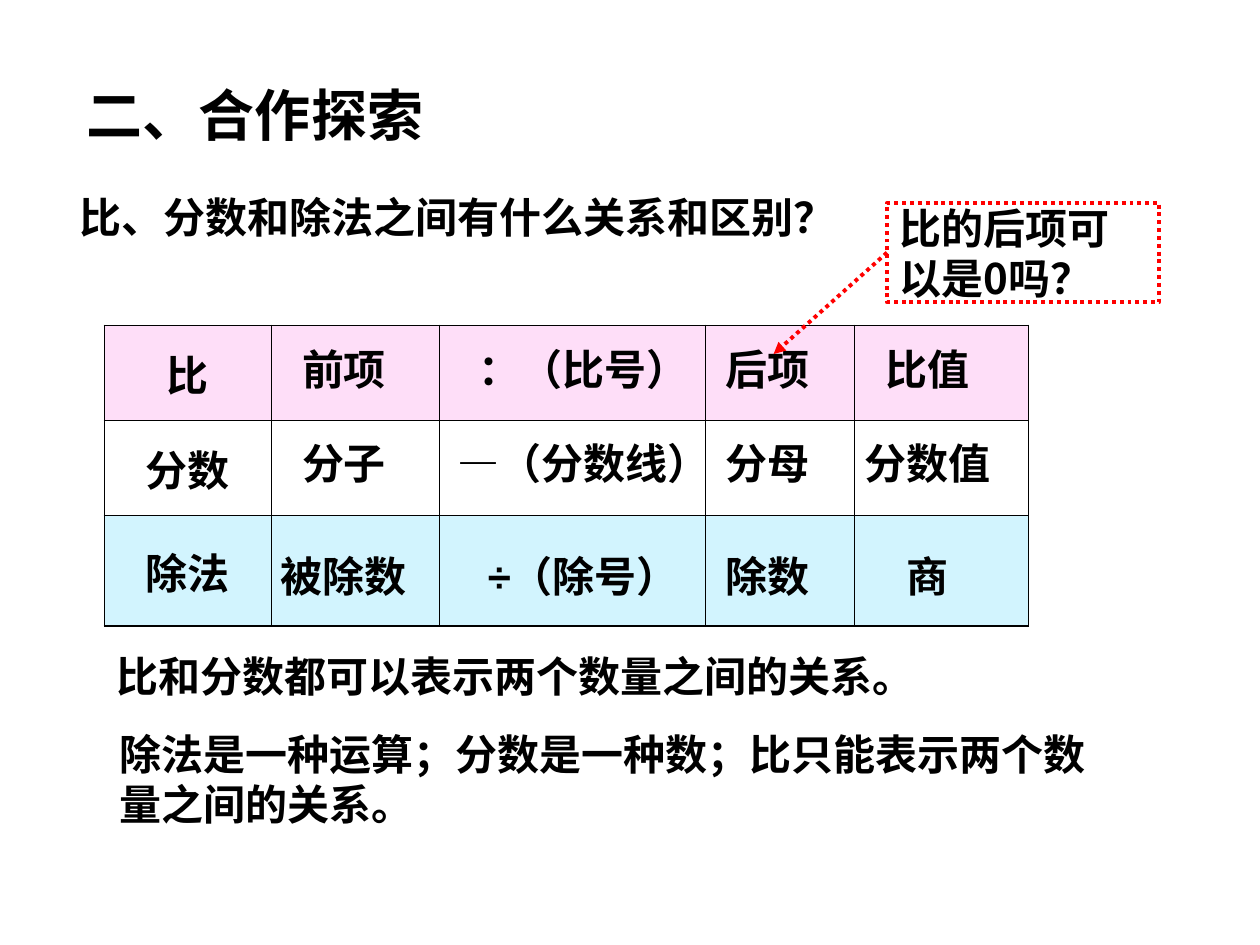
"""Build a lesson slide comparing ratio, fraction and division."""
from lxml.etree import SubElement
from pptx import Presentation
from pptx.dml.color import RGBColor
from pptx.enum.dml import MSO_LINE_DASH_STYLE as Dash
from pptx.enum.shapes import MSO_CONNECTOR as Connector, MSO_SHAPE as Shape
from pptx.enum.text import MSO_ANCHOR as Anchor, MSO_AUTO_SIZE as Fit, PP_ALIGN as Align
from pptx.oxml import parse_xml
from pptx.oxml.ns import nsdecls, qn
from pptx.util import Inches, Pt

COLORS = {"ink": "000000", "accent": "FF0000", "ratio": "FEDEF8", "division": "D2F4FE"}
CJK = "Noto Sans CJK SC"

TITLE = "二、合作探索"
QUESTION = "比、分数和除法之间有什么关系和区别？"
CALLOUT = "比的后项可以是0吗？"
NOTES = [
    ("比和分数都可以表示两个数量之间的关系。", (0.83, 5.11, 7.44, 0.5)),
    ("除法是一种运算；分数是一种数；比只能表示两个数量之间的关系。", (0.85, 5.73, 8.13, 0.9)),
]
TABLE_LEFT, TABLE_TOP = 0.83, 2.58
COLUMNS = [1.32, 1.34, 2.11, 1.18, 1.38]
ROWS = [0.76, 0.75, 0.88]
ROW_HEADS = [("比", "ratio"), ("分数", None), ("除法", "division")]
LABEL_TOPS = [2.68, 3.42, 4.32]
LABEL_CENTERS = [2.73, 4.63, 6.09, 7.36]
LABELS = [
    ["前项", "：（比号）", "后项", "比值"],
    ["分子", "—（分数线）", "分母", "分数值"],
    ["被除数", "÷（除号）", "除数", "商"],
]
SIGN_COLUMN, SIGN_WIDTH, LABEL_HEIGHT = 1, 2.72, 0.5
THIN, THICK = 0.45, 1.08


def color(name):
    return RGBColor.from_string(COLORS[name])


def format_text(frame, font="Arial", size=24, align=Align.LEFT):
    for para in frame.paragraphs:
        para.alignment = align
        for span in para.runs:
            span.font.name, span.font.size, span.font.bold = font, Pt(size), True
            span.font.color.rgb = color("ink")
            properties = span.font._element
            properties.set("lang", "zh-CN")
            SubElement(properties, qn("a:ea")).set("typeface", CJK)


def add_text(page, text, place, align=Align.LEFT, wrap=True):
    box = page.shapes.add_textbox(*map(Inches, place))
    frame = box.text_frame
    frame.text = text
    frame.word_wrap, frame.auto_size = wrap, Fit.SHAPE_TO_FIT_TEXT
    format_text(frame, align=align)
    return frame


def set_borders(cell, widths):
    properties = cell._tc.get_or_add_tcPr()
    for index, (side, width) in enumerate(widths.items()):
        border = parse_xml(
            f'<a:ln{side} {nsdecls("a")} w="{Pt(width)}"><a:solidFill>'
            f'<a:srgbClr val="{COLORS["ink"]}"/></a:solidFill></a:ln{side}>')
        properties.insert(index, border)


def add_grid(page):
    table = page.shapes.add_table(
        len(ROWS), len(COLUMNS), Inches(TABLE_LEFT), Inches(TABLE_TOP),
        Inches(sum(COLUMNS)), Inches(sum(ROWS))).table
    table.first_row = table.horz_banding = False
    for column, width in zip(table.columns, COLUMNS):
        column.width = Inches(width)
    for r, (head, fill) in enumerate(ROW_HEADS):
        table.rows[r].height = Inches(ROWS[r])
        for c in range(len(COLUMNS)):
            cell = table.cell(r, c)
            if fill:
                cell.fill.solid()
                cell.fill.fore_color.rgb = color(fill)
            else:
                cell.fill.background()
            set_borders(cell, {"L": THIN if c else THICK, "R": THIN, "T": THIN,
                               "B": THICK if r == len(ROWS) - 1 else THIN})
        first = table.cell(r, 0)
        first.text = head
        first.vertical_anchor = Anchor.MIDDLE
        format_text(first.text_frame, "Calibri", align=Align.CENTER)


def add_labels(page):
    for top, labels in zip(LABEL_TOPS, LABELS):
        for c, (text, center) in enumerate(zip(labels, LABEL_CENTERS)):
            is_sign = c == SIGN_COLUMN
            width = SIGN_WIDTH if is_sign else len(text) / 3 + 0.2
            place = (center - width / 2, top, width, LABEL_HEIGHT)
            add_text(page, text, place, Align.CENTER, is_sign)


def style_line(line):
    line.color.rgb = color("accent")
    line.width = Pt(2.25)
    line.dash_style = Dash.ROUND_DOT


def add_callout(page):
    box = page.shapes.add_shape(Shape.RECTANGLE, *map(Inches, (7.04, 1.61, 2.16, 0.79)))
    box.shadow.inherit = False
    box.fill.background()
    style_line(box.line)
    frame = box.text_frame
    frame.text = CALLOUT
    frame.word_wrap, frame.vertical_anchor = True, Anchor.MIDDLE
    format_text(frame, CJK)
    arrow = page.shapes.add_connector(
        Connector.STRAIGHT, *map(Inches, (7.04, 2.01, 6.14, 2.81)))
    arrow.begin_connect(box, 1)
    style_line(arrow.line)
    SubElement(arrow.line._get_or_add_ln(), qn("a:tailEnd")).set("type", "triangle")
    SubElement(arrow._element.spPr, qn("a:effectLst"))


def main():
    deck = Presentation()
    deck.slide_width, deck.slide_height = Inches(10), Inches(7.5)
    page = deck.slides.add_slide(deck.slide_layouts[5])
    title = page.shapes.title
    title.left, title.top, title.width, title.height = map(Inches, (0.59, 0.59, 2.95, 0.63))
    frame = title.text_frame
    frame.text = TITLE
    frame.auto_size, frame.vertical_anchor = Fit.NONE, Anchor.MIDDLE
    format_text(frame, CJK, 32)
    add_grid(page)
    add_labels(page)
    add_text(page, QUESTION, (0.53, 1.47, 6.2, 0.5), wrap=False)
    for text, place in NOTES:
        add_text(page, text, place)
    add_callout(page)
    deck.save("out.pptx")


if __name__ == "__main__":
    main()
